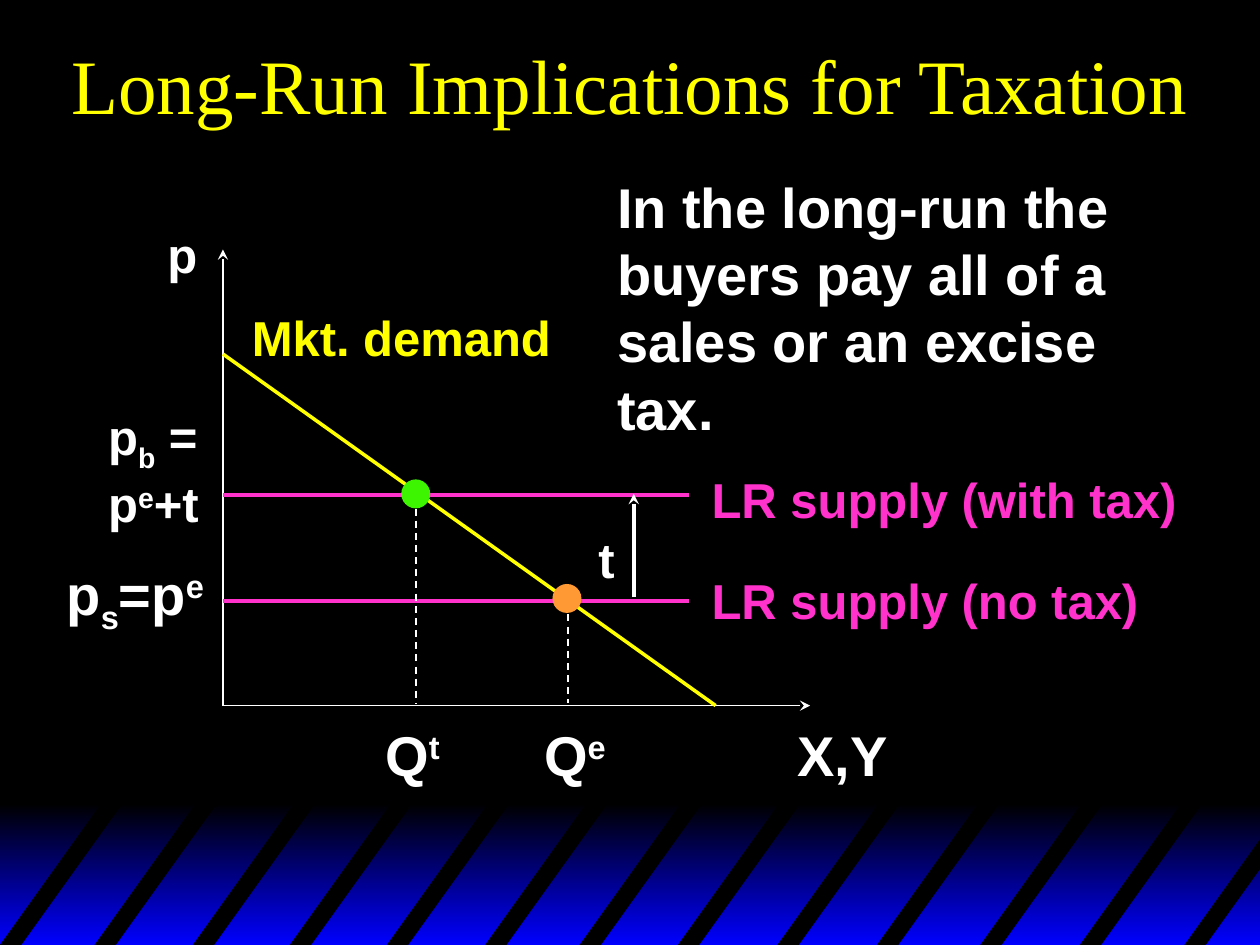
from dataclasses import dataclass

from lxml import etree
from pptx import Presentation
from pptx.dml.color import RGBColor
from pptx.enum.dml import MSO_LINE_DASH_STYLE
from pptx.enum.shapes import MSO_CONNECTOR_TYPE, MSO_SHAPE
from pptx.enum.text import MSO_ANCHOR, PP_ALIGN
from pptx.oxml.ns import qn
from pptx.util import Inches, Pt

STRAIGHT = MSO_CONNECTOR_TYPE.STRAIGHT
DASH = MSO_LINE_DASH_STYLE.DASH
RECTANGLE, OVAL = MSO_SHAPE.RECTANGLE, MSO_SHAPE.OVAL
MIDDLE, CENTER = MSO_ANCHOR.MIDDLE, PP_ALIGN.CENTER


@dataclass(frozen=True)
class Theme:
    black: str = "000000"
    blue: str = "0000FF"
    white: str = "FFFFFF"
    yellow: str = "FFFF00"
    pink: str = "FF33CC"
    orange: str = "FF9933"
    green: str = "3DF500"
    title_font: str = "Times New Roman"
    body_font: str = "Arial"
    title_size: int = 44
    large: int = 32
    small: int = 28


THEME = Theme()
SUBSCRIPT, SUPERSCRIPT = -25, 30
SLIDE_WIDTH, SLIDE_HEIGHT = 10, 7.5

# Key positions of the graph, in inches
ORIGIN_X, ORIGIN_Y = 1.77, 5.6
SUPPLY_END = 5.47
TAX_PRICE, NO_TAX_PRICE = 3.93, 4.77


@dataclass(frozen=True)
class Segment:
    start: tuple[float, float]
    end: tuple[float, float]
    color: str = THEME.white
    width: float = 1
    dashed: bool = False
    arrow: bool = False


@dataclass(frozen=True)
class Label:
    """Each line is a list of (text, baseline shift in percent) pieces."""
    left: float
    top: float
    width: float
    height: float
    lines: list[list[tuple[str, int]]]
    size: int = THEME.small
    color: str = THEME.white
    font: str = THEME.body_font
    bold: bool = True
    wrap: bool = False
    centered: bool = False


@dataclass(frozen=True)
class Dot:
    center_x: float
    center_y: float
    color: str
    diameter: float = 0.23


def plain(text: str) -> list[list[tuple[str, int]]]:
    return [[(text, 0)]]


def fill_solid(shape, color: str) -> None:
    shape.shadow.inherit = False
    shape.fill.solid()
    shape.fill.fore_color.rgb = RGBColor.from_string(color)
    shape.line.fill.background()


def draw_band(slide) -> None:
    top = 6.38
    band = slide.shapes.add_shape(RECTANGLE, 0, Inches(top), Inches(SLIDE_WIDTH),
                                  Inches(SLIDE_HEIGHT - top))
    band.shadow.inherit = False
    band.line.fill.background()
    band.fill.gradient()
    band.fill.gradient_angle = 270
    for stop, position, color in zip(band.fill.gradient_stops, (0, 1),
                                     (THEME.black, THEME.blue)):
        stop.position = position
        stop.color.rgb = RGBColor.from_string(color)


def draw_stripe(slide, left: float) -> None:
    top, run, width = 6.34, 0.83, 0.17
    slope = (SLIDE_HEIGHT - top) / run
    right = left + width
    if right + run <= SLIDE_WIDTH:
        upper = [(left + run, top), (right + run, top)]
    else:  # cut off at the slide edge
        upper = [(SLIDE_WIDTH, SLIDE_HEIGHT - (SLIDE_WIDTH - edge) * slope)
                 for edge in (left, right)]
    points = [(Inches(x), Inches(y)) for x, y in upper + [(right, SLIDE_HEIGHT)]]
    builder = slide.shapes.build_freeform(Inches(left), Inches(SLIDE_HEIGHT))
    builder.add_line_segments(points, close=True)
    fill_solid(builder.convert_to_shape(), THEME.black)


def draw_segment(slide, segment: Segment) -> None:
    ends = [Inches(value) for value in segment.start + segment.end]
    connector = slide.shapes.add_connector(STRAIGHT, *ends)
    connector.line.color.rgb = RGBColor.from_string(segment.color)
    connector.line.width = Pt(segment.width)
    if segment.dashed:
        connector.line.dash_style = DASH
    if segment.arrow:
        etree.SubElement(connector.line._get_or_add_ln(), qn("a:tailEnd"), type="stealth")
    etree.SubElement(connector._element.spPr, qn("a:effectLst"))


def draw_label(slide, label: Label) -> None:
    box = slide.shapes.add_textbox(Inches(label.left), Inches(label.top),
                                   Inches(label.width), Inches(label.height))
    frame = box.text_frame
    frame.word_wrap = label.wrap
    if label.centered:
        frame.vertical_anchor = MIDDLE
    for index, line in enumerate(label.lines):
        paragraph = frame.add_paragraph() if index else frame.paragraphs[0]
        if label.centered:
            paragraph.alignment = CENTER
        for text, shift in line:
            run = paragraph.add_run()
            run.text = text
            run.font.name = label.font
            run.font.size = Pt(label.size)
            run.font.bold = label.bold
            run.font.color.rgb = RGBColor.from_string(label.color)
            if shift:
                run.font._element.set("baseline", str(shift * 1000))


def draw_dot(slide, dot: Dot) -> None:
    radius = dot.diameter / 2
    shape = slide.shapes.add_shape(OVAL, Inches(dot.center_x - radius),
                                   Inches(dot.center_y - radius),
                                   Inches(dot.diameter), Inches(dot.diameter))
    fill_solid(shape, dot.color)


STRIPES = [0, 0.75, 1.53, 2.3, 3.07, 3.85, 4.6, 5.38, 6.17, 6.96, 7.78, 8.57, 9.4]

SEGMENTS = [
    Segment((ORIGIN_X, ORIGIN_Y), (ORIGIN_X, 1.98), arrow=True),
    Segment((ORIGIN_X, ORIGIN_Y), (6.43, ORIGIN_Y), arrow=True),
    Segment((ORIGIN_X, 2.81), (5.68, ORIGIN_Y), THEME.yellow, 2),
    Segment((ORIGIN_X, NO_TAX_PRICE), (SUPPLY_END, NO_TAX_PRICE), THEME.pink, 2),
    Segment((ORIGIN_X, TAX_PRICE), (SUPPLY_END, TAX_PRICE), THEME.pink, 2),
    Segment((4.51, 4.78), (4.51, 5.58), dashed=True),
    Segment((3.3, 3.94), (3.3, 5.58), dashed=True),
    Segment((5.03, 4.74), (5.03, 3.92), width=2, arrow=True),
]

DOTS = [Dot(4.5, 4.75, THEME.orange), Dot(3.3, 3.92, THEME.green)]

LABELS = [
    Label(0, 0, SLIDE_WIDTH, 1.33, plain("Long-Run Implications for Taxation"),
          THEME.title_size, THEME.yellow, THEME.title_font, False, True, True),
    Label(5.55, 4.48, 3.6, 0.57, plain("LR supply (no tax)"), color=THEME.pink),
    Label(5.55, 3.68, 3.9, 0.57, plain("LR supply (with tax)"), color=THEME.pink),
    Label(1.9, 2.39, 2.58, 0.57, plain("Mkt. demand"), color=THEME.yellow),
    Label(1.23, 1.73, 0.44, 0.57, plain("p")),
    Label(4.65, 4.15, 0.33, 0.57, plain("t")),
    Label(6.23, 5.67, 0.92, 0.63, plain("X,Y"), THEME.large),
    Label(4.22, 5.67, 0.71, 0.63, [[("Q", 0), ("e", SUPERSCRIPT)]], THEME.large),
    Label(2.96, 5.67, 0.64, 0.63, [[("Q", 0), ("t", SUPERSCRIPT)]], THEME.large),
    Label(0.43, 4.39, 1.33, 0.63,
          [[("p", 0), ("s", SUBSCRIPT), ("=p", 0), ("e", SUPERSCRIPT)]], THEME.large),
    Label(0.76, 3.18, 1.04, 1.03,
          [[("p", 0), ("b", SUBSCRIPT), (" =", 0)],
           [("p", 0), ("e", SUPERSCRIPT), ("+t", 0)]]),
    Label(4.8, 1.32, 4.5, 2.23,
          plain("In the long-run the buyers pay all of a sales or an excise tax."),
          THEME.large, wrap=True),
]


def main() -> None:
    presentation = Presentation()
    presentation.slide_width = Inches(SLIDE_WIDTH)
    presentation.slide_height = Inches(SLIDE_HEIGHT)
    slide = presentation.slides.add_slide(presentation.slide_layouts[6])
    slide.background.fill.solid()
    slide.background.fill.fore_color.rgb = RGBColor.from_string(THEME.black)

    # Striped band along the bottom
    draw_band(slide)
    for left in STRIPES:
        draw_stripe(slide, left)

    # Supply and demand graph with its labels
    for segment in SEGMENTS:
        draw_segment(slide, segment)
    for dot in DOTS:
        draw_dot(slide, dot)
    for label in LABELS:
        draw_label(slide, label)

    presentation.save("out.pptx")


if __name__ == "__main__":
    main()
